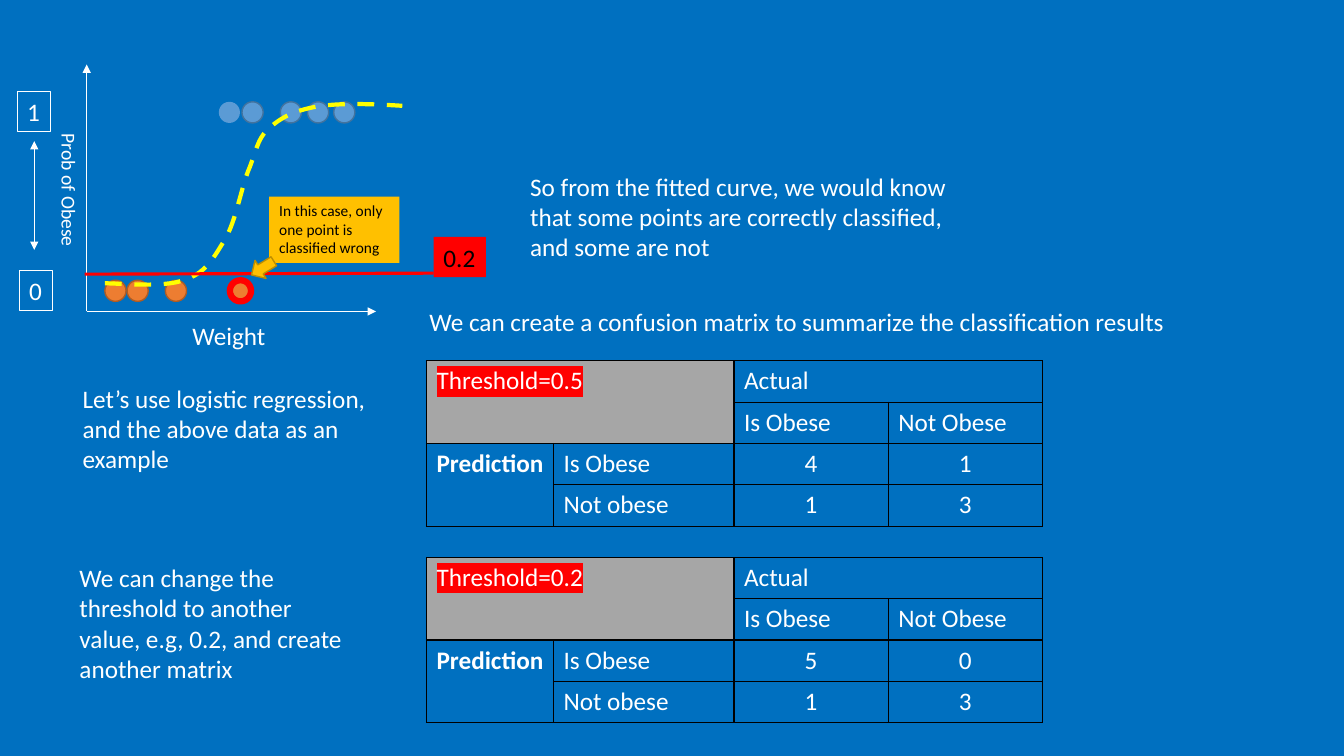
from lxml import etree
from pptx import Presentation
from pptx.dml.color import RGBColor
from pptx.enum.dml import MSO_LINE
from pptx.enum.shapes import MSO_CONNECTOR, MSO_SHAPE
from pptx.enum.text import MSO_AUTO_SIZE, PP_ALIGN
from pptx.oxml.ns import qn
from pptx.util import Inches, Pt

STRAIGHT = MSO_CONNECTOR.STRAIGHT
OVAL, DOWN_ARROW = MSO_SHAPE.OVAL, MSO_SHAPE.DOWN_ARROW
DASH = MSO_LINE.DASH
FIT_TEXT = MSO_AUTO_SIZE.SHAPE_TO_FIT_TEXT
CENTER = PP_ALIGN.CENTER

BLUE = RGBColor(0x00, 0x70, 0xC0)
WHITE = RGBColor(0xFF, 0xFF, 0xFF)
BLACK = RGBColor(0x00, 0x00, 0x00)
RED = RGBColor(0xFF, 0x00, 0x00)
YELLOW = RGBColor(0xFF, 0xFF, 0x00)
GREY = RGBColor(0xA6, 0xA6, 0xA6)
SKY, SKY_EDGE = RGBColor(0x5B, 0x9B, 0xD5), RGBColor(0x43, 0x73, 0x9E)
ORANGE, ORANGE_EDGE = RGBColor(0xED, 0x7D, 0x31), RGBColor(0xAF, 0x5C, 0x24)
GOLD, GOLD_EDGE = RGBColor(0xFF, 0xC0, 0x00), RGBColor(0xBD, 0x8E, 0x00)

FONT = "Calibri"
DOT_SIZE = 0.21
OBESE_DOTS = [2.0, 2.23, 2.61, 2.88, 3.14]
LEAN_DOTS = [0.87, 1.09, 1.47, 2.11]
CURVE_START = (0.87, 2.17)
CURVE_PIECES = [
    ((1.18, 2.18), (1.48, 2.21), (1.68, 2.13)),
    ((1.88, 2.06), (1.96, 1.9), (2.07, 1.72)),
    ((2.17, 1.54), (2.22, 1.24), (2.29, 1.06)),
    ((2.37, 0.87), (2.38, 0.74), (2.49, 0.64)),
    ((2.61, 0.53), (2.74, 0.46), (2.96, 0.42)),
    ((3.18, 0.38), (3.5, 0.39), (3.82, 0.41)),
]
CURVE_STEPS = 12
COLUMN_WIDTHS = [1.26, 1.79, 1.53, 1.53]
ROW_HEIGHT = 0.41


def style_span(span, size=18, color=WHITE, bold=False):
    """Give a run its font, size and colour."""
    span.font.size = Pt(size)
    span.font.bold = bold
    span.font.color.rgb = color
    span.font.name = FONT


def style_outline(shape, color, width):
    """Draw the outline of a shape, or hide it when there is no colour."""
    if color is None:
        shape.line.fill.background()
    else:
        shape.line.color.rgb = color
        shape.line.width = Pt(width)


def add_label(slide, box, text, size=18, color=WHITE, wrap=False, fill=None, edge=None):
    """Add a text box, optionally filled or outlined."""
    label = slide.shapes.add_textbox(*map(Inches, box))
    frame = label.text_frame
    frame.word_wrap = wrap
    frame.auto_size = FIT_TEXT
    frame.text = text
    style_span(frame.paragraphs[0].runs[0], size, color)
    if fill is not None:
        label.fill.solid()
        label.fill.fore_color.rgb = fill
    style_outline(label, edge, 0.75)
    return label


def add_line(slide, start, end, color=WHITE, width=0.5, arrows=()):
    """Add a straight line with arrowheads at the named ends."""
    line = slide.shapes.add_connector(STRAIGHT, *map(Inches, start + end))
    style_outline(line, color, width)
    properties = line.element.spPr
    for arrow in arrows:
        etree.SubElement(properties.find(qn("a:ln")), qn(arrow), type="triangle")
    etree.SubElement(properties, qn("a:effectLst"))


def add_solid(slide, kind, box, fill, edge, width=1):
    """Add a filled preset shape without a shadow."""
    shape = slide.shapes.add_shape(kind, *map(Inches, box))
    shape.shadow.inherit = False
    shape.fill.solid()
    shape.fill.fore_color.rgb = fill
    style_outline(shape, edge, width)
    return shape


def add_curve(slide, left, top):
    """Add the dashed fitted curve, traced along its cubic pieces."""
    points = [CURVE_START]
    for first, second, end in CURVE_PIECES:
        start = points[-1]
        for step in range(1, CURVE_STEPS + 1):
            t = step / CURVE_STEPS
            u = 1 - t
            points.append(tuple(
                u**3 * a + 3 * u * u * t * b + 3 * u * t * t * c + t**3 * d
                for a, b, c, d in zip(start, first, second, end)))
    places = [(Inches(left + x), Inches(top + y)) for x, y in points]
    builder = slide.shapes.build_freeform(*places[0])
    builder.add_line_segments(places[1:], close=False)
    curve = builder.convert_to_shape()
    curve.shadow.inherit = False
    curve.fill.background()
    style_outline(curve, YELLOW, 3)
    curve.line.dash_style = DASH


def add_plot(slide, left, top):
    """Draw the regression plot with its axes, points, threshold and callout."""
    def at(x, y, *size):
        return (left + x, top + y) + size

    add_line(slide, at(0.69, 2.45), at(0.69, 0), arrows=["a:tailEnd"])
    add_line(slide, at(0.69, 2.45), at(3.56, 2.45), arrows=["a:tailEnd"])
    for x in OBESE_DOTS:
        edge = None if x == OBESE_DOTS[0] else SKY_EDGE
        add_solid(slide, OVAL, at(x, 0.37, DOT_SIZE, DOT_SIZE), SKY, edge)
    for x in LEAN_DOTS:
        edge, width = (RED, 4.5) if x == LEAN_DOTS[-1] else (ORANGE_EDGE, 1)
        add_solid(slide, OVAL, at(x, 2.14, DOT_SIZE, DOT_SIZE), ORANGE, edge, width)
    add_label(slide, at(-0.15, 1.08, 1.33, 0.34), "Prob of Obese", 14).rotation = 90
    add_label(slide, at(1.64, 2.49, 0.94, 0.4), "Weight")
    add_curve(slide, left, top)
    add_label(slide, at(0.02, 2.04, 0.33, 0.4), "0", edge=WHITE)
    add_label(slide, at(0, 0.27, 0.33, 0.4), "1", edge=WHITE)
    add_line(slide, at(0.17, 1.84), at(0.17, 0.76), arrows=["a:headEnd", "a:tailEnd"])
    add_line(slide, at(0.67, 2.08), at(4.13, 2.07), RED, 2.25)
    add_label(slide, at(4.13, 1.71, 0.52, 0.4), "0.2", color=BLACK, fill=RED)
    add_label(slide, at(2.5, 1.31, 1.29, 0.66),
              "In this case, only one point is classified wrong",
              11, BLACK, wrap=True, fill=GOLD)
    arrow = add_solid(slide, DOWN_ARROW, at(2.33, 1.89, 0.21, 0.26), GOLD, GOLD_EDGE)
    arrow.rotation = 58.6


def style_cell(cell, fill):
    """Give a cell its fill and thin black borders."""
    if fill is None:
        cell.fill.background()
    else:
        cell.fill.solid()
        cell.fill.fore_color.rgb = fill
    properties = cell._tc.get_or_add_tcPr()
    for index, side in enumerate(["a:lnL", "a:lnR", "a:lnT", "a:lnB"]):
        border = etree.Element(qn(side), w=str(Pt(1)))
        solid = etree.SubElement(border, qn("a:solidFill"))
        etree.SubElement(solid, qn("a:srgbClr"), val=str(BLACK))
        properties.insert(index, border)


def add_matrix(slide, left, top, threshold, counts):
    """Add the confusion matrix for one threshold."""
    rows = [
        [f"Threshold={threshold}", "", "Actual", ""],
        ["", "", "Is Obese", "Not Obese"],
        ["Prediction", "Is Obese", *counts[0]],
        ["", "Not obese", *counts[1]],
    ]
    frame = slide.shapes.add_table(
        len(rows), len(COLUMN_WIDTHS), Inches(left), Inches(top),
        Inches(sum(COLUMN_WIDTHS)), Inches(ROW_HEIGHT * len(rows)))
    table = frame.table
    table.first_row = table.horz_banding = False
    for column, width in zip(table.columns, COLUMN_WIDTHS):
        column.width = Inches(width)
    for row_index, texts in enumerate(rows):
        table.rows[row_index].height = Inches(ROW_HEIGHT)
        for column_index, text in enumerate(texts):
            cell = table.cell(row_index, column_index)
            style_cell(cell, GREY if row_index < 2 and column_index < 2 else None)
            if text == "":
                continue
            cell.text = str(text)
            para = cell.text_frame.paragraphs[0]
            style_span(para.runs[0], bold=text == "Prediction")
            if row_index > 1 and column_index > 1:
                para.alignment = CENTER
    for start, end in [((0, 0), (1, 1)), ((0, 2), (0, 3)), ((2, 0), (3, 0))]:
        table.cell(*start).merge(table.cell(*end))
    span = table.cell(0, 0).text_frame.paragraphs[0].runs[0]
    highlight = etree.Element(qn("a:highlight"))
    etree.SubElement(highlight, qn("a:srgbClr"), val=str(RED))
    span.font._element.find(qn("a:latin")).addprevious(highlight)


def main():
    """Build the slide and save the deck."""
    deck = Presentation()
    deck.slide_width, deck.slide_height = Inches(13.33), Inches(7.5)
    slide = deck.slides.add_slide(deck.slide_layouts[6])
    slide.background.fill.solid()
    slide.background.fill.fore_color.rgb = BLUE
    add_plot(slide, 0.17, 0.64)
    add_label(slide, (0.72, 3.75, 3.15, 1.01),
              "Let’s use logistic regression, and the above data as an example", wrap=True)
    add_label(slide, (5.16, 1.65, 4.7, 1.01),
              "So from the fitted curve, we would know that some points are "
              "correctly classified, and some are not", wrap=True)
    add_label(slide, (4.16, 2.99, 7.58, 0.4),
              "We can create a confusion matrix to summarize the classification results")
    add_label(slide, (0.69, 5.53, 2.9, 1.31),
              "We can change the threshold to another value, e.g, 0.2, and create "
              "another matrix", wrap=True)
    add_matrix(slide, 4.23, 3.58, 0.5, [(4, 1), (1, 3)])
    add_matrix(slide, 4.23, 5.53, 0.2, [(5, 0), (1, 3)])
    deck.save("out.pptx")


if __name__ == "__main__":
    main()
